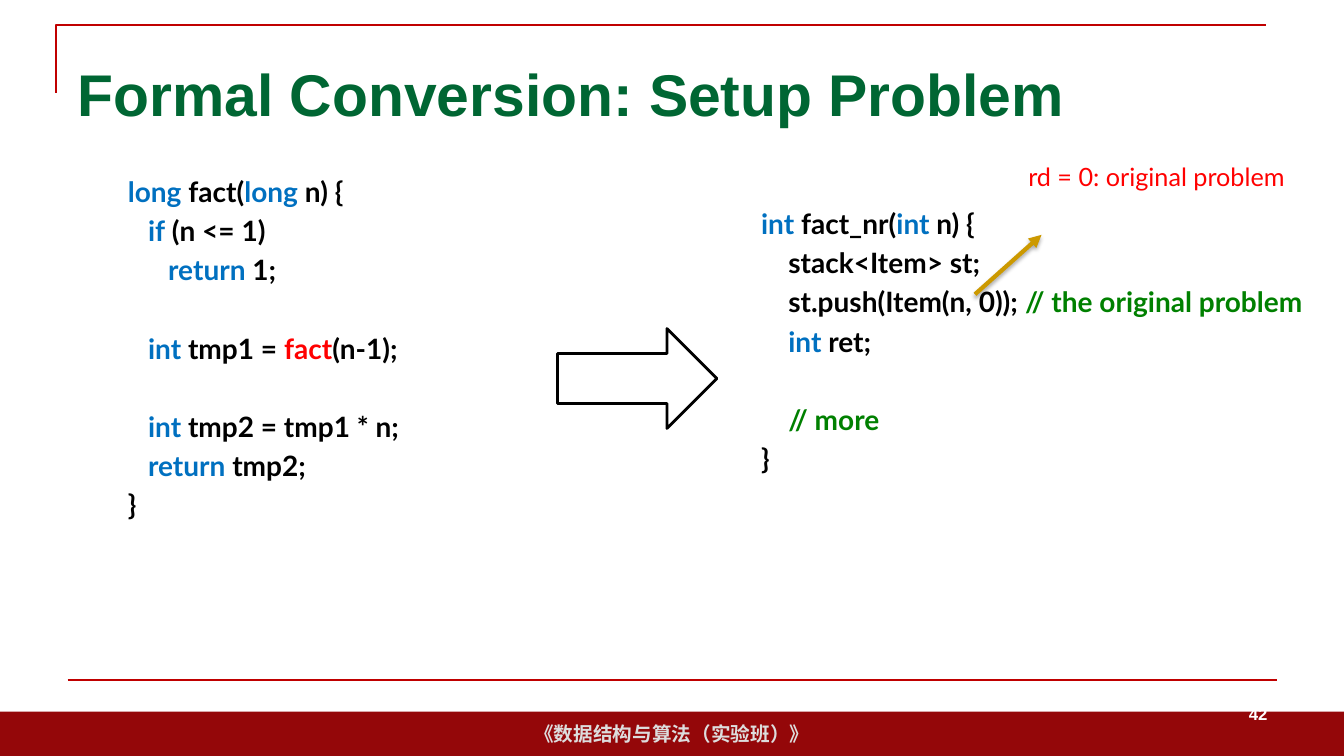
from dataclasses import dataclass

from lxml import etree
from pptx import Presentation
from pptx.dml.color import RGBColor
from pptx.enum.shapes import MSO_CONNECTOR, MSO_SHAPE
from pptx.enum.text import MSO_ANCHOR, MSO_AUTO_SIZE, PP_ALIGN
from pptx.oxml.ns import qn
from pptx.util import Inches, Pt

STRAIGHT = MSO_CONNECTOR.STRAIGHT
RECTANGLE, RIGHT_ARROW = MSO_SHAPE.RECTANGLE, MSO_SHAPE.RIGHT_ARROW
TOP, MIDDLE = MSO_ANCHOR.TOP, MSO_ANCHOR.MIDDLE
LEFT, CENTER, RIGHT = PP_ALIGN.LEFT, PP_ALIGN.CENTER, PP_ALIGN.RIGHT
NO_AUTOFIT = MSO_AUTO_SIZE.NONE
TITLE_ONLY = 5


@dataclass(frozen=True)
class Theme:
    heading_font: str = "Arial"
    code_font: str = "Lato"
    title_size: int = 42
    code_size: int = 20
    note_size: int = 18
    footer_size: int = 14
    number_size: int = 12
    title: str = "006633"
    band: str = "940709"
    footer: str = "DDDDDD"
    rule: str = "C00000"
    pointer: str = "CC9900"
    plain: str = "000000"
    keyword: str = "0070C0"
    comment: str = "008000"
    alert: str = "FF0000"
    white: str = "FFFFFF"


THEME = Theme()
LINE_GAP = 4  # points before each code line
BLANK_LINE = 28  # further points where the code skips a line

# Each code line: indent level, skips a line before it, (text, colour role) spans
RECURSIVE_CODE = [
    (0, False, [("long", "keyword"), (" fact(", "plain"),
                ("long", "keyword"), (" n) {", "plain")]),
    (1, False, [("if", "keyword"), (" (n <= 1)", "plain")]),
    (2, False, [("return", "keyword"), (" 1;", "plain")]),
    (1, True, [("int ", "keyword"), ("tmp1 = ", "plain"),
               ("fact", "alert"), ("(n-1);", "plain")]),
    (1, True, [("int ", "keyword"), ("tmp2 = tmp1 * n;", "plain")]),
    (1, False, [("return", "keyword"), (" tmp2;", "plain")]),
    (0, False, [("}", "plain")]),
]
STACK_CODE = [
    (0, False, [("int", "keyword"), (" fact_nr(", "plain"),
                ("int", "keyword"), (" n) {", "plain")]),
    (1, False, [("stack<Item> st;", "plain")]),
    (1, False, [("st.push(Item(n, 0)); ", "plain"),
                ("// the original problem", "comment")]),
    (1, False, [("int", "keyword"), (" ret;", "plain")]),
    (1, True, [("// more", "comment")]),
    (0, False, [("}", "plain")]),
]


def rgb(color):
    return RGBColor.from_string(color)


def inches(*lengths):
    return [Inches(length) for length in lengths]


def set_font(font, name, size, color=None, bold=True):
    font.name, font.size, font.bold = name, Pt(size), bold
    if color:
        font.color.rgb = rgb(color)


def set_text(shape, text, name, size, color, bold=True, align=LEFT, anchor=MIDDLE):
    """Fill a shape with one paragraph in a single format."""
    frame = shape.text_frame
    frame.auto_size, frame.word_wrap = NO_AUTOFIT, True
    frame.vertical_anchor = anchor
    para = frame.paragraphs[0]
    para.text, para.alignment = text, align
    set_font(para.font, name, size, color, bold)


def add_label(page, bounds, *style, **options):
    set_text(page.shapes.add_textbox(*inches(*bounds)), *style, **options)


def add_title(page, text):
    title = page.shapes.title
    title.left, title.top, title.width, title.height = inches(0.67, 0.3, 12, 1.25)
    set_text(title, text, THEME.heading_font, THEME.title_size, THEME.title)


def add_footer_band(page, text):
    band = page.shapes.add_shape(RECTANGLE, *inches(0, 7.06, 13.33, 0.44))
    band.shadow.inherit = False
    band.fill.solid()
    band.fill.fore_color.rgb = rgb(THEME.band)
    band.line.fill.background()
    set_text(band, text, THEME.heading_font, THEME.footer_size, THEME.footer,
             align=CENTER)


def add_corner_rule(page):
    builder = page.shapes.build_freeform(*inches(0.56, 0.92))
    builder.add_line_segments([inches(0.56, 0.25), inches(12.56, 0.25)], close=False)
    corner = builder.convert_to_shape()
    corner.shadow.inherit = False
    corner.fill.background()
    corner.line.color.rgb = rgb(THEME.rule)
    corner.line.width = Pt(1.5)


def add_line(page, start, end, color, width):
    """Draw a straight line and return it with its effect list."""
    line = page.shapes.add_connector(STRAIGHT, *inches(*start, *end))
    line.line.color.rgb = rgb(color)
    line.line.width = Pt(width)
    effects = etree.SubElement(line._element.spPr, qn("a:effectLst"))
    return line, effects


def add_pointer(page, start, end):
    """Draw an arrow with a soft shadow below it."""
    pointer, effects = add_line(page, start, end, THEME.pointer, 3)
    outline = pointer.line._get_or_add_ln()
    etree.SubElement(outline, qn("a:tailEnd"), type="triangle")
    shadow = etree.SubElement(
        effects, qn("a:outerShdw"), blurRad=str(Pt(3.1)), dist=str(Pt(1.8)),
        dir="5400000", rotWithShape="0")
    color = etree.SubElement(shadow, qn("a:srgbClr"), val=THEME.plain)
    etree.SubElement(color, qn("a:alpha"), val="35000")


def add_conversion_arrow(page):
    arrow = page.shapes.add_shape(RIGHT_ARROW, *inches(5.53, 3.26, 1.58, 0.99))
    arrow.shadow.inherit = False
    arrow.fill.background()
    arrow.line.color.rgb = rgb(THEME.plain)
    arrow.line.width = Pt(2)


def add_code(page, bounds, lines, indent):
    frame = page.shapes.add_textbox(*inches(*bounds)).text_frame
    frame.word_wrap = True
    for index, (level, skips_line, spans) in enumerate(lines):
        para = frame.add_paragraph() if index else frame.paragraphs[0]
        para.space_before = Pt((LINE_GAP if index else 0) + BLANK_LINE * skips_line)
        para._p.get_or_add_pPr().set("marL", str(Inches(indent * level)))
        set_font(para.font, THEME.code_font, THEME.code_size)
        for text, role in spans:
            span = para.add_run()
            span.text = text
            span.font.color.rgb = rgb(getattr(THEME, role))


def main():
    deck = Presentation()
    deck.slide_width, deck.slide_height = inches(13.33, 7.5)
    page = deck.slides.add_slide(deck.slide_layouts[TITLE_ONLY])

    add_footer_band(page, "《数据结构与算法（实验班）》")
    add_corner_rule(page)
    add_line(page, (0.67, 6.75), (12.67, 6.75), THEME.rule, 1.5)
    add_title(page, "Formal Conversion: Setup Problem")
    add_label(page, (9.56, 6.83, 3.11, 0.5), "42", THEME.heading_font,
              THEME.number_size, THEME.white, align=RIGHT)

    add_code(page, (1.17, 1.68, 4.67, 3), RECURSIVE_CODE, indent=0.2)
    add_code(page, (7.45, 2, 5.89, 4.95), STACK_CODE, indent=0.27)
    add_conversion_arrow(page)
    add_pointer(page, (9.67, 2.92), (10.33, 2.33))
    add_label(page, (10.1, 1.55, 3.25, 0.4), "rd = 0: original problem",
              THEME.code_font, THEME.note_size, THEME.alert, bold=False, anchor=TOP)

    deck.save("out.pptx")


if __name__ == "__main__":
    main()
